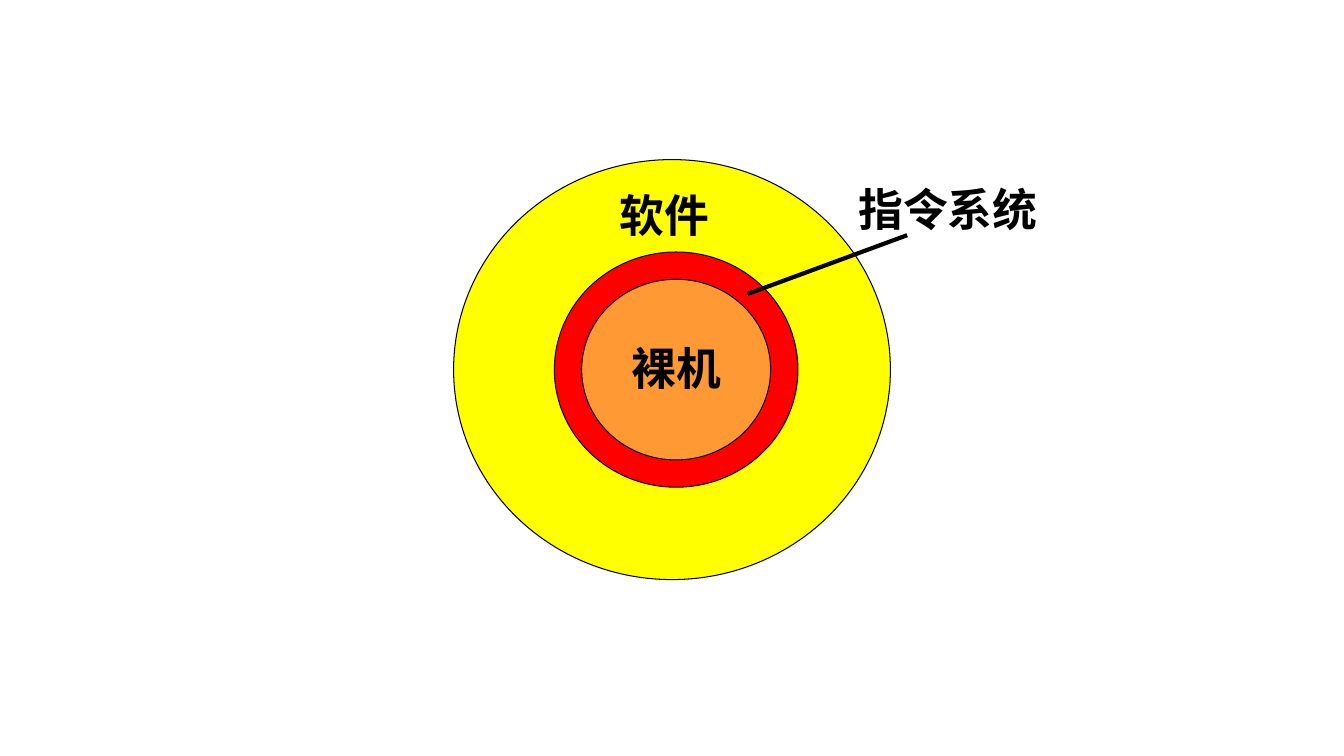
from typing import NamedTuple

from lxml.etree import SubElement
from pptx import Presentation
from pptx.dml.color import RGBColor
from pptx.enum.shapes import MSO_CONNECTOR as Conn, MSO_SHAPE as Geom
from pptx.enum.text import MSO_ANCHOR as Anchor, MSO_AUTO_SIZE as Auto, PP_ALIGN as Align
from pptx.oxml.ns import qn
from pptx.util import Emu, Pt

SCALE = 9525  # EMU in one px, 96 px to the inch
BOLD = {"name": "Times New Roman", "size": Pt(32), "bold": True}
FRAME = {"word_wrap": True, "auto_size": Auto.SHAPE_TO_FIT_TEXT,
         "vertical_anchor": Anchor.TOP}


class Box(NamedTuple):
    x: int
    y: int
    w: int
    h: int


class Disc(NamedTuple):
    box: Box
    fill: str
    line: str
    band: float = 0  # ring width over height, 0 for a full disc


class Label(NamedTuple):
    text: str
    box: Box
    fill: str = ""


def px(num: int) -> Emu:
    return Emu(num * SCALE)


def paint(part, color: str) -> None:
    part.solid()
    part.fore_color.rgb = RGBColor.from_string(color)


def add_disc(shapes, disc: Disc) -> None:
    geom = Geom.DONUT if disc.band else Geom.OVAL
    shape = shapes.add_shape(geom, *map(px, disc.box))
    if disc.band:
        shape.adjustments[0] = disc.band
    shape.shadow.inherit = False
    paint(shape.fill, disc.fill)
    paint(shape.line.fill, disc.line)
    shape.line.width = Pt(0.75)


def add_label(shapes, label: Label) -> None:
    shape = shapes.add_textbox(*map(px, label.box))
    if label.fill:
        paint(shape.fill, label.fill)
    frame = shape.text_frame
    for key, val in FRAME.items():
        setattr(frame, key, val)
    para = frame.paragraphs[0]
    para.alignment = Align.LEFT
    run = para.add_run()
    run.text = label.text
    for key, val in BOLD.items():
        setattr(run.font, key, val)
    paint(run.font.fill, "000000")


def add_leader(shapes, x1: int, y1: int, x2: int, y2: int) -> None:
    line = shapes.add_connector(Conn.STRAIGHT, *map(px, (x1, y1, x2, y2)))
    paint(line.line.fill, "000000")
    line.line.width = Pt(3)
    SubElement(line._element.spPr, qn("a:effectLst"))


CORE = Disc(Box(536, 248, 214, 208), "FF9933", "FF9933")
SOFT = Disc(Box(432, 152, 416, 400), "FFFF00", "000000", 0.25)
CODE = Disc(Box(528, 240, 232, 224), "FF0000", "000000", 0.116)


def main() -> None:
    prs = Presentation()
    prs.slide_width, prs.slide_height = px(1280), px(720)
    shapes = prs.slides.add_slide(prs.slide_layouts[6]).shapes

    # Bare machine
    add_disc(shapes, CORE)
    add_label(shapes, Label("裸机", Box(592, 320, 189, 61)))

    # Software layer
    add_disc(shapes, SOFT)
    add_label(shapes, Label("软件", Box(581, 174, 135, 61), SOFT.fill))

    # Instruction set between them
    add_disc(shapes, CODE)
    add_leader(shapes, 712, 280, 864, 224)
    add_label(shapes, Label("指令系统", Box(808, 168, 200, 61)))

    prs.save("out.pptx")


if __name__ == "__main__":
    main()
